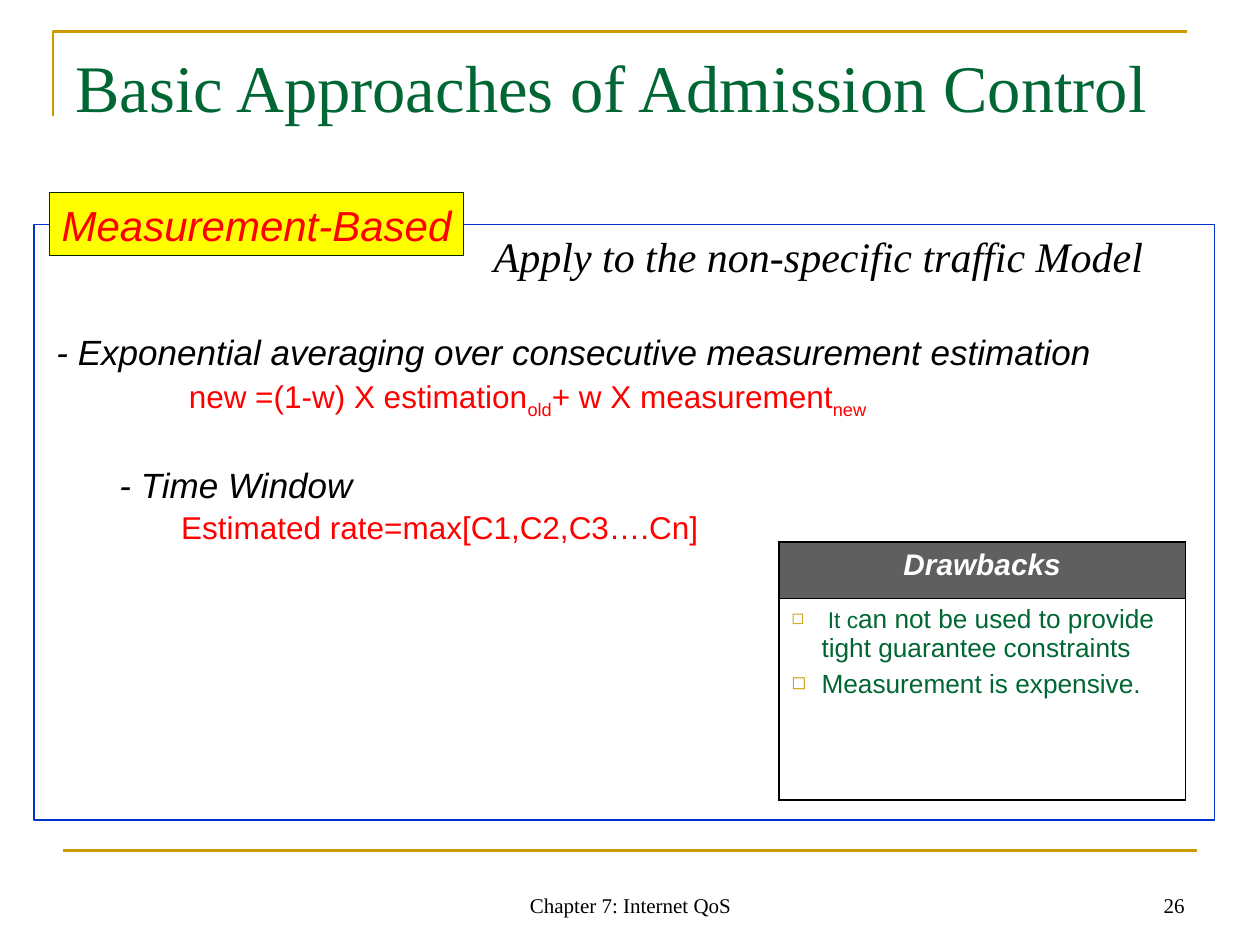
from dataclasses import dataclass

from lxml.etree import SubElement
from pptx import Presentation
from pptx.dml.color import RGBColor
from pptx.enum.shapes import MSO_CONNECTOR, MSO_SHAPE
from pptx.enum.text import MSO_ANCHOR, PP_ALIGN
from pptx.oxml.ns import qn
from pptx.util import Inches, Pt


@dataclass(frozen=True)
class Theme:
    sans: str = "Arial"
    serif: str = "Times New Roman"
    gold: str = "CC9900"
    green: str = "006633"
    dark_green: str = "003300"
    blue: str = "0033CC"
    red: str = "FF0000"
    yellow: str = "FFFF00"
    gray: str = "5F5F5F"
    black: str = "000000"
    white: str = "FFFFFF"
    title: float = 38
    heading: float = 24
    body: float = 20
    formula: float = 18
    table_heading: float = 17
    drawback: float = 15
    drawback_small: float = 13
    footer: float = 12


THEME = Theme()
SUBSCRIPT = "-25000"

TITLE = "Basic Approaches of Admission Control"
LABEL = "Measurement-Based"
SCOPE = "Apply to the non-specific traffic Model"
FOOTER = "Chapter 7: Internet QoS"
PAGE_NUMBER = "26"

# kind, left indent in inches, space before in points, (text, is subscript) runs
METHODS = [
    ("point", 0, 0, [("- Exponential averaging over consecutive measurement estimation", False)]),
    ("formula", 1.05, 3, [("new =(1-w) X estimation", False), ("old", True),
                          ("+ w X measurement", False), ("new", True)]),
    ("point", 0.5, 25, [("- Time Window", False)]),
    ("formula", 0.99, 1, [("Estimated rate=max[C1,C2,C3….Cn]", False)]),
]
DRAWBACKS_HEADING = "Drawbacks"
DRAWBACKS = [
    [(" It c", THEME.drawback_small),
     ("an not be used to provide tight guarantee constraints", THEME.drawback)],
    [("Measurement is expensive.", THEME.drawback)],
]


def color(value):
    return RGBColor.from_string(value)


def add_run(paragraph, text, size, font, fill, bold=False, italic=False):
    run = paragraph.add_run()
    run.text = text
    run.font.size = Pt(size)
    run.font.name = font
    run.font.color.rgb = color(fill)
    run.font.bold = bold
    run.font.italic = italic
    return run


def add_text_box(slide, box, anchor=MSO_ANCHOR.TOP):
    frame = slide.shapes.add_textbox(*map(Inches, box)).text_frame
    frame.word_wrap = True
    frame.vertical_anchor = anchor
    return frame


def add_line_of_text(slide, box, text, size, fill=THEME.black, italic=False,
                     align=PP_ALIGN.LEFT, anchor=MSO_ANCHOR.TOP):
    paragraph = add_text_box(slide, box, anchor).paragraphs[0]
    paragraph.alignment = align
    add_run(paragraph, text, size, THEME.serif, fill, italic=italic)


def add_rectangle(slide, box, line, fill=None):
    shape = slide.shapes.add_shape(MSO_SHAPE.RECTANGLE, *map(Inches, box))
    shape.shadow.inherit = False
    if fill:
        shape.fill.solid()
        shape.fill.fore_color.rgb = color(fill)
    else:
        shape.fill.background()
    shape.line.color.rgb = color(line)
    shape.line.width = Pt(0.75)
    return shape


def add_frame_lines(slide):
    builder = slide.shapes.build_freeform(Inches(0.42), Inches(0.92))
    corner = [(Inches(0.42), Inches(0.25)), (Inches(9.42), Inches(0.25))]
    builder.add_line_segments(corner, close=False)
    bracket = builder.convert_to_shape()
    bracket.shadow.inherit = False
    bracket.fill.background()
    rule = slide.shapes.add_connector(
        MSO_CONNECTOR.STRAIGHT, Inches(0.5), Inches(6.75), Inches(9.5), Inches(6.75))
    SubElement(rule._element.spPr, qn("a:effectLst"))
    for shape in (bracket, rule):
        shape.line.color.rgb = color(THEME.gold)
        shape.line.width = Pt(1.5)


def add_label(slide):
    label = add_rectangle(slide, (0.39, 1.53, 3.29, 0.5), THEME.dark_green, THEME.yellow)
    label.text_frame.word_wrap = False
    paragraph = label.text_frame.paragraphs[0]
    paragraph.alignment = PP_ALIGN.LEFT
    add_run(paragraph, LABEL, THEME.heading, THEME.sans, THEME.red, italic=True)


def add_methods(slide):
    styles = {"point": (THEME.body, THEME.sans, THEME.black, False, True),
              "formula": (THEME.formula, THEME.sans, THEME.red)}
    frame = add_text_box(slide, (0.35, 2.57, 9.13, 1.77))
    for index, (kind, indent, space, runs) in enumerate(METHODS):
        paragraph = frame.add_paragraph() if index else frame.paragraphs[0]
        paragraph.space_before = Pt(space)
        paragraph._p.get_or_add_pPr().set("marL", str(Inches(indent)))
        for text, is_subscript in runs:
            run = add_run(paragraph, text, *styles[kind])
            if is_subscript:
                run.font._element.set("baseline", SUBSCRIPT)


def add_bullet(paragraph):
    properties = paragraph._p.get_or_add_pPr()
    properties.set("marL", str(Inches(0.24)))
    properties.set("indent", str(-Inches(0.24)))
    bullet_color = SubElement(properties, qn("a:buClr"))
    SubElement(bullet_color, qn("a:srgbClr"), val=THEME.gold)
    SubElement(properties, qn("a:buSzPct"), val="70000")
    SubElement(properties, qn("a:buChar"), char="◻")


def style_cell(cell, fill, top, bottom):
    """Set the borders first: the schema wants them before the fill."""
    properties = cell._tc.get_or_add_tcPr()
    for side, width in (("L", 1.08), ("R", 1.08), ("T", top), ("B", bottom)):
        border = SubElement(properties, qn(f"a:ln{side}"), w=str(Pt(width)))
        SubElement(SubElement(border, qn("a:solidFill")), qn("a:srgbClr"), val=THEME.black)
    cell.fill.solid()
    cell.fill.fore_color.rgb = color(fill)


def add_drawbacks(slide):
    table = slide.shapes.add_table(
        2, 1, Inches(6.18), Inches(4.3), Inches(3.23), Inches(2.05)).table
    for row, height in zip(table.rows, (0.45, 1.6)):
        row.height = Inches(height)
    heading, body = table.cell(0, 0), table.cell(1, 0)
    style_cell(heading, THEME.gray, 1.08, 0.45)
    style_cell(body, THEME.white, 0.45, 1.08)

    paragraph = heading.text_frame.paragraphs[0]
    paragraph.alignment = PP_ALIGN.CENTER
    paragraph.space_before = Pt(4.2)
    add_run(paragraph, DRAWBACKS_HEADING, THEME.table_heading, THEME.sans, THEME.white,
            bold=True, italic=True)
    for index, runs in enumerate(DRAWBACKS):
        paragraph = body.text_frame.add_paragraph() if index else body.text_frame.paragraphs[0]
        paragraph.space_before = Pt(3.7)
        add_bullet(paragraph)
        for text, size in runs:
            add_run(paragraph, text, size, THEME.sans, THEME.green)


def main():
    presentation = Presentation()
    presentation.slide_width, presentation.slide_height = Inches(10), Inches(7.5)
    slide = presentation.slides.add_slide(presentation.slide_layouts[6])
    add_frame_lines(slide)
    add_line_of_text(slide, (3.42, 6.83, 3.17, 0.5), FOOTER, THEME.footer,
                     align=PP_ALIGN.CENTER, anchor=MSO_ANCHOR.BOTTOM)
    add_rectangle(slide, (0.27, 1.78, 9.37, 4.73), THEME.blue)
    add_line_of_text(slide, (0.5, 0.3, 9, 0.77), TITLE, THEME.title, THEME.green,
                     anchor=MSO_ANCHOR.MIDDLE)
    add_label(slide)
    add_methods(slide)
    add_line_of_text(slide, (3.82, 1.78, 5.67, 0.5), SCOPE, THEME.heading, italic=True)
    add_drawbacks(slide)
    add_line_of_text(slide, (7.17, 6.83, 2.33, 0.5), PAGE_NUMBER, THEME.footer,
                     align=PP_ALIGN.RIGHT, anchor=MSO_ANCHOR.BOTTOM)
    presentation.save("out.pptx")


if __name__ == "__main__":
    main()
